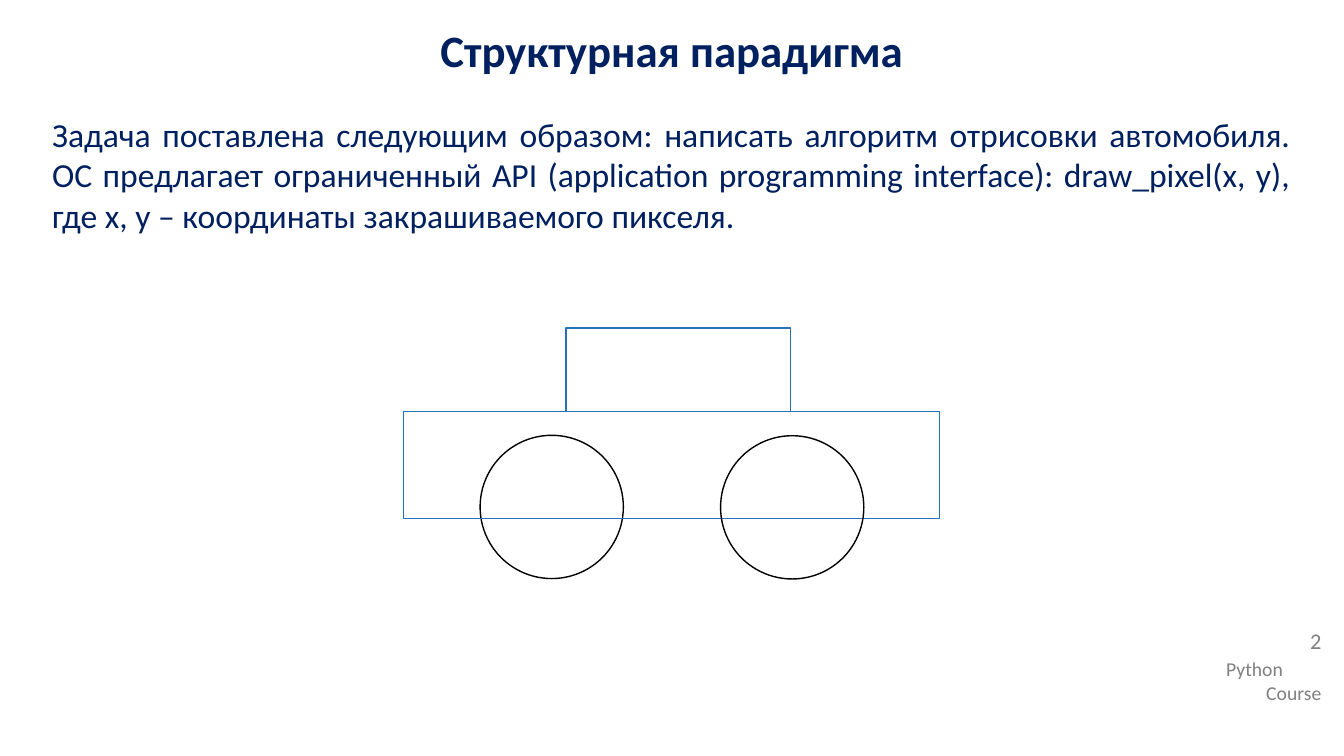
from pptx import Presentation
from pptx.dml.color import RGBColor
from pptx.enum.shapes import MSO_SHAPE as Shape
from pptx.enum.text import MSO_ANCHOR as Anchor, MSO_AUTO_SIZE as AutoSize, PP_ALIGN as Align
from pptx.util import Cm, Pt
from lxml.etree import SubElement
from pptx.oxml.ns import qn

COLORS = {"navy": "002060", "gray": "808080", "blue": "2572BB", "black": "000000"}
FONT = "Calibri"

TITLE = "Структурная парадигма"
TASK = (
    "Задача поставлена следующим образом: написать алгоритм отрисовки автомобиля. "
    "ОС предлагает ограниченный API (application programming interface): "
    "draw_pixel(x, y), где x, y – координаты закрашиваемого пикселя."
)
COURSE = [("Python", Align.LEFT), ("Course", Align.RIGHT)]
PAGE_NUMBER = "2"

# Lengths in centimetres: left, top, width, height
SLIDE_SIZE = (33.87, 19.05)
TITLE_BOX = (0, 0.58, 33.87, 1.93)
TASK_BOX = (1.06, 2.74, 31.72, 15.82)
COURSE_BOX = (30.65, 16.44, 2.9, 1.45)
NUMBER_BOX = (30.65, 15.75, 2.9, 1.14)
WHEEL = 3.61
CAR_PARTS = [
    (Shape.OVAL, (12.1, 10.97, WHEEL, WHEEL), "black"),
    (Shape.RECTANGLE, (10.17, 10.37, 13.51, 2.69), "blue"),
    (Shape.RECTANGLE, (14.26, 8.27, 5.66, 2.1), "blue"),
    (Shape.OVAL, (18.16, 10.98, WHEEL, WHEEL), "black"),
]


def place(shape, box):
    shape.left, shape.top, shape.width, shape.height = (Cm(value) for value in box)


def write(paragraph, text, size, color, align, bold=False, spacing=1.0, before=0, after=0):
    paragraph.alignment = align
    paragraph.line_spacing = spacing
    paragraph.space_before, paragraph.space_after = Pt(before), Pt(after)
    run = paragraph.add_run()
    run.text = text
    run.font.name, run.font.size, run.font.bold = FONT, Pt(size), bold
    run.font.color.rgb = RGBColor.from_string(COLORS[color])


def remove_bullet(paragraph):
    properties = paragraph._p.get_or_add_pPr()
    properties.set("marL", "0")
    properties.set("indent", "0")
    SubElement(properties, qn("a:buNone"))


def add_text_frame(slide, box):
    frame = slide.shapes.add_textbox(*(Cm(value) for value in box)).text_frame
    frame.word_wrap = True
    return frame


def add_car(slide):
    for kind, box, color in CAR_PARTS:
        part = slide.shapes.add_shape(kind, *(Cm(value) for value in box))
        part.shadow.inherit = False
        part.fill.background()
        part.line.width = Pt(1)
        part.line.color.rgb = RGBColor.from_string(COLORS[color])


def main():
    presentation = Presentation()
    presentation.slide_width, presentation.slide_height = (Cm(value) for value in SLIDE_SIZE)
    slide = presentation.slides.add_slide(presentation.slide_layouts[1])
    title, task = slide.shapes.title, slide.placeholders[1]

    place(title, TITLE_BOX)
    title.text_frame.vertical_anchor = Anchor.TOP
    title.text_frame.margin_top = title.text_frame.margin_bottom = 0
    write(title.text_frame.paragraphs[0], TITLE, 32, "navy", Align.CENTER,
          bold=True, before=5, after=5)

    place(task, TASK_BOX)
    task.text_frame.auto_size = AutoSize.NONE
    paragraph = task.text_frame.paragraphs[0]
    write(paragraph, TASK, 24, "navy", Align.JUSTIFY)
    remove_bullet(paragraph)

    frame = add_text_frame(slide, COURSE_BOX)
    for index, (word, align) in enumerate(COURSE):
        paragraph = frame.add_paragraph() if index else frame.paragraphs[0]
        write(paragraph, word, 14, "gray", align)

    frame = add_text_frame(slide, NUMBER_BOX)
    write(frame.paragraphs[0], PAGE_NUMBER, 16, "gray", Align.RIGHT, spacing=0.9)

    add_car(slide)
    presentation.save("out.pptx")


if __name__ == "__main__":
    main()
